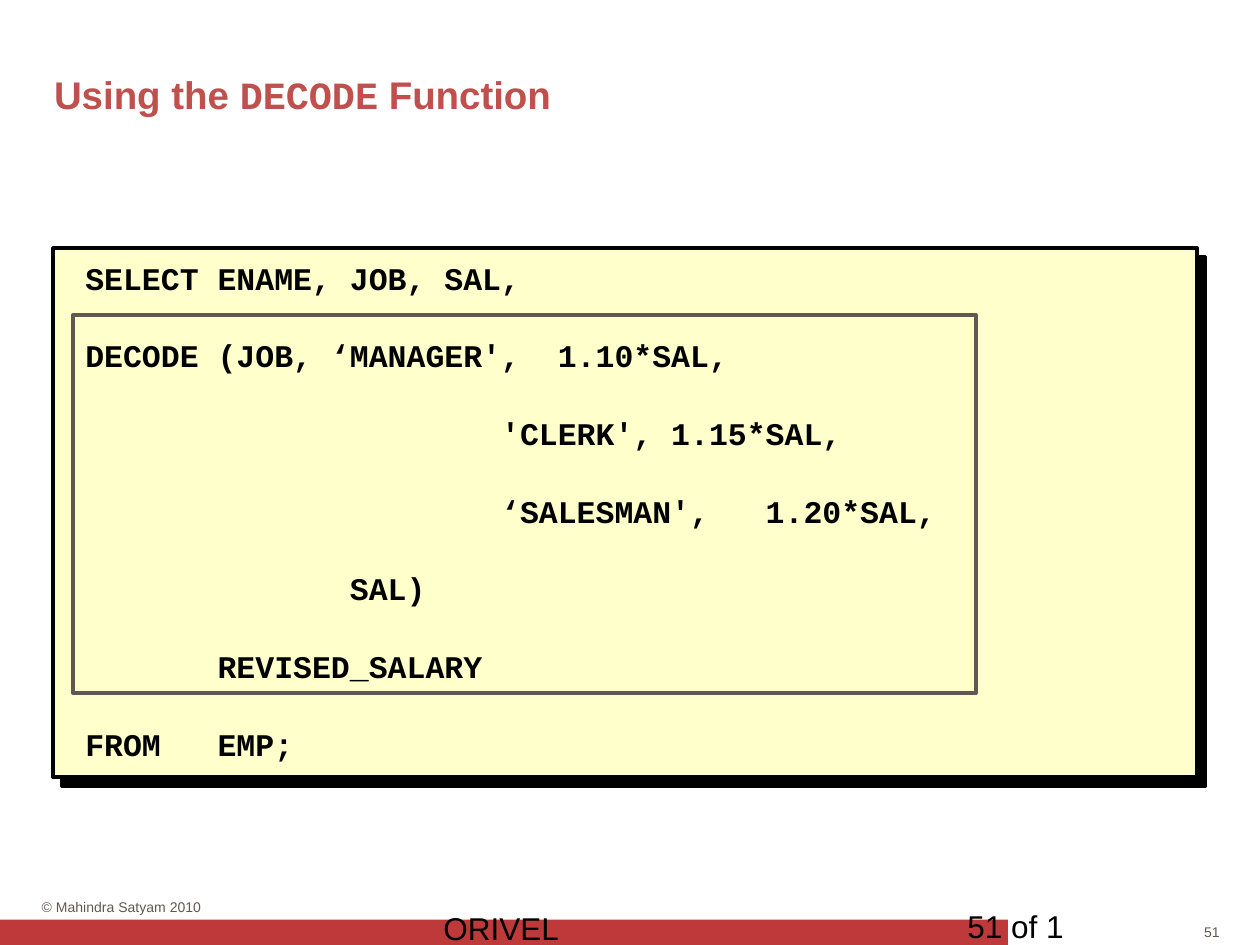
from dataclasses import dataclass

import pptx
import pptx.dml.color
import pptx.enum.shapes
import pptx.enum.text
import pptx.oxml
import pptx.oxml.ns
import pptx.slide
import pptx.util
from pptx.dml.color import RGBColor
from pptx.enum.text import MSO_ANCHOR, PP_ALIGN
from pptx.util import Cm

BLACK = RGBColor(0x00, 0x00, 0x00)
GREY = RGBColor(0x62, 0x57, 0x53)
RED = RGBColor(0xBE, 0x3A, 0x3A)
TITLE_RED = RGBColor(0xC0, 0x50, 0x4D)
CREAM = RGBColor(0xFF, 0xFF, 0xCC)

SANS = "Arial"
MONO = "Courier New"

CODE = """SELECT ENAME, JOB, SAL,
DECODE (JOB, ‘MANAGER',  1.10*SAL,
                      'CLERK', 1.15*SAL,
                      ‘SALESMAN',   1.20*SAL,
              SAL)
       REVISED_SALARY
FROM   EMP;"""


@dataclass(frozen=True)
class Frame:
    """Left, top, width and height in centimetres."""
    left: float
    top: float
    width: float
    height: float

    def lengths(self) -> tuple[Cm, Cm, Cm, Cm]:
        return Cm(self.left), Cm(self.top), Cm(self.width), Cm(self.height)


@dataclass(frozen=True)
class Span:
    text: str
    font: str = SANS


@dataclass(frozen=True)
class Label:
    frame: Frame
    lines: list[list[Span]]
    size: float
    color: RGBColor = BLACK
    bold: bool = False
    inset: bool = True
    wrap: bool = True
    align: PP_ALIGN = PP_ALIGN.LEFT
    anchor: MSO_ANCHOR = MSO_ANCHOR.TOP
    gap: float = 0


@dataclass(frozen=True)
class Panel:
    frame: Frame
    fill: RGBColor | None = None
    line: RGBColor | None = None


def add_label(page: pptx.slide.Slide, label: Label) -> None:
    frame = page.shapes.add_textbox(*label.frame.lengths()).text_frame
    frame.word_wrap = label.wrap
    frame.vertical_anchor = label.anchor
    if not label.inset:
        frame.margin_left = frame.margin_right = Cm(0)
        frame.margin_top = frame.margin_bottom = Cm(0)
    for index, spans in enumerate(label.lines):
        para = frame.add_paragraph() if index else frame.paragraphs[0]
        para.alignment = label.align
        if index:
            para.space_before = pptx.util.Pt(label.gap)
        for span in spans:
            run = para.add_run()
            run.text = span.text
            run.font.name = span.font
            run.font.size = pptx.util.Pt(label.size)
            run.font.bold = label.bold
            run.font.color.rgb = label.color


def add_panel(page: pptx.slide.Slide, panel: Panel):
    box = page.shapes.add_shape(
        pptx.enum.shapes.MSO_SHAPE.RECTANGLE, *panel.frame.lengths())
    box.shadow.inherit = False
    if panel.fill is None:
        box.fill.background()
    else:
        box.fill.solid()
        box.fill.fore_color.rgb = panel.fill
    if panel.line is None:
        box.line.fill.background()
    else:
        box.line.color.rgb = panel.line
        box.line.width = pptx.util.Pt(2)
    return box


def add_hard_shadow(box) -> None:
    """Give the box a solid black shadow to the lower right."""
    effects = box.element.spPr.find(pptx.oxml.ns.qn("a:effectLst"))
    effects.append(pptx.oxml.parse_xml(
        f'<a:outerShdw {pptx.oxml.ns.nsdecls("a")} dist="{pptx.util.Pt(7.1)}" '
        'dir="2700000" algn="ctr" rotWithShape="0">'
        '<a:srgbClr val="000000"/></a:outerShdw>'))


FOOTER_BAR = Panel(Frame(0, 18.54, 20.32, 0.51), fill=RED)
CODE_PANEL = Panel(Frame(1.07, 5, 23.06, 10.67), fill=CREAM, line=BLACK)
DECODE_OUTLINE = Panel(Frame(1.47, 6.35, 18.21, 7.62), line=GREY)

FOOTER_LABELS = [
    Label(Frame(24.23, 18.62, 0.36, 0.33), [[Span("51")]], 8, GREY, inset=False,
          wrap=False, align=PP_ALIGN.RIGHT, anchor=MSO_ANCHOR.MIDDLE),
    Label(Frame(0.84, 18.11, 3.91, 0.33), [[Span("© Mahindra Satyam 2010")]], 8,
          GREY, inset=False),
    Label(Frame(8.69, 18.21, 8.05, 0.69), [[Span("ORIVEL")]], 18),
    Label(Frame(19.25, 18.16, 5.92, 0.89), [[Span("51 of 1")]], 18),
]
TITLE = Label(
    Frame(0.84, 1.3, 23.72, 0.94),
    [[Span("Using the "), Span("DECODE", MONO), Span(" Function")]],
    22, TITLE_RED, bold=True)
CODE_LABEL = Label(
    Frame(1.47, 4.87, 22.86, 10.85),
    [[Span(line, MONO)] for line in CODE.splitlines()],
    18, bold=True, wrap=False, anchor=MSO_ANCHOR.MIDDLE, gap=22.8)


def main() -> None:
    deck = pptx.Presentation()
    deck.slide_width, deck.slide_height = Cm(25.4), Cm(19.05)
    page = deck.slides.add_slide(deck.slide_layouts[6])
    add_panel(page, FOOTER_BAR)
    for label in FOOTER_LABELS:
        add_label(page, label)
    add_hard_shadow(add_panel(page, CODE_PANEL))
    add_label(page, TITLE)
    add_label(page, CODE_LABEL)
    add_panel(page, DECODE_OUTLINE)
    deck.save("out.pptx")


if __name__ == "__main__":
    main()
